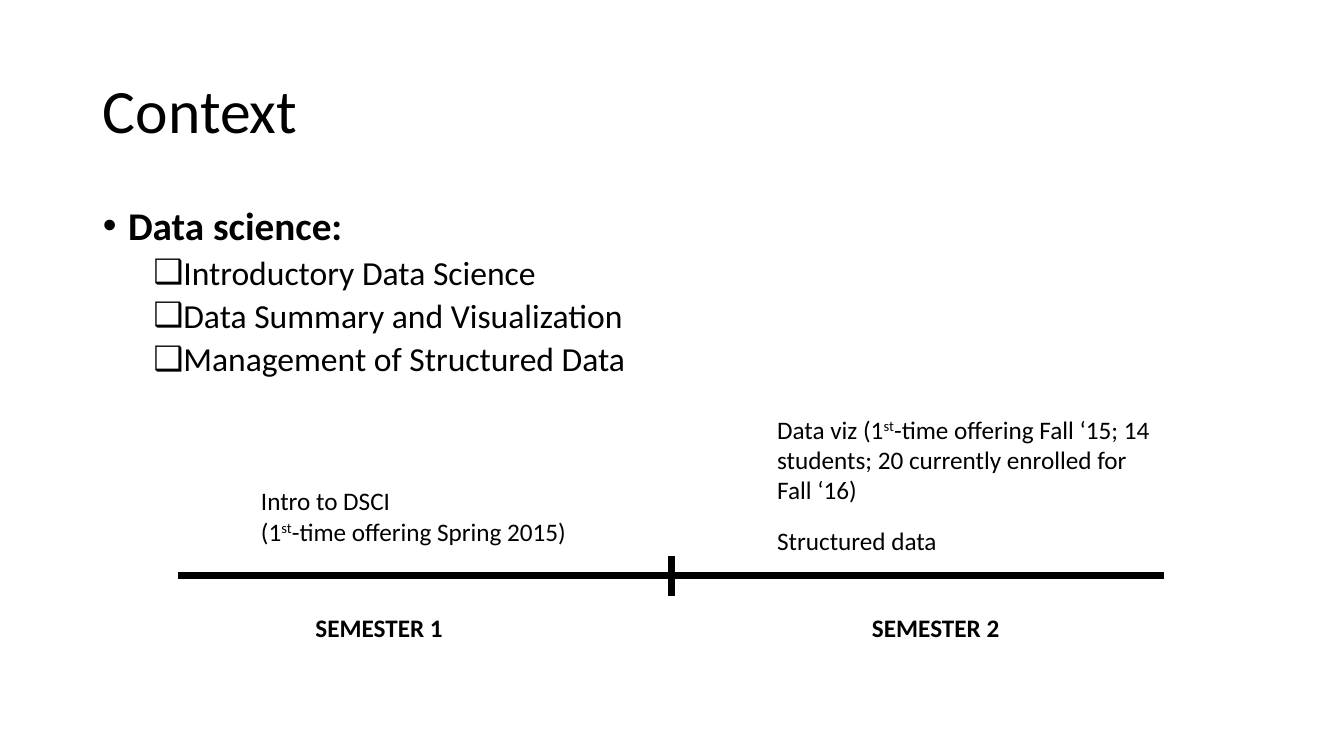
from dataclasses import dataclass

from lxml.etree import SubElement
from pptx import Presentation
from pptx.dml.color import RGBColor
from pptx.enum.shapes import MSO_CONNECTOR
from pptx.enum.text import MSO_ANCHOR, MSO_AUTO_SIZE, PP_ALIGN
from pptx.oxml.ns import qn
from pptx.util import Inches, Pt


@dataclass(frozen=True)
class Theme:
    font: str = "Calibri"
    ink: RGBColor = RGBColor(0, 0, 0)
    paper: RGBColor = RGBColor(255, 255, 255)
    title: int = 44
    topic: int = 28
    course: int = 24
    note: int = 18
    line: float = 4.5


THEME = Theme()
WIDTH, HEIGHT = 13.33, 7.5
MARGIN, CONTENT_WIDTH = 0.92, 11.5
COURSES = [
    "Introductory Data Science",
    "Data Summary and Visualization",
    "Management of Structured Data",
]


def place(shape, box):
    shape.left, shape.top, shape.width, shape.height = map(Inches, box)


def style(paragraph, size, bold=False):
    font = paragraph.font
    font.name, font.size, font.bold = THEME.font, Pt(size), bold
    font.color.rgb = THEME.ink


def set_bullet(paragraph, symbol, indent):
    """Hang a bullet a quarter inch before the text indent."""
    properties = paragraph._p.get_or_add_pPr()
    properties.set("marL", str(Inches(indent)))
    properties.set("indent", str(Inches(-0.25)))
    bullet_font = SubElement(properties, qn("a:buFont"))
    bullet_font.set("typeface", "Arial")
    SubElement(properties, qn("a:buChar")).set("char", symbol)


def add_title(slide, box):
    title = slide.shapes.title
    place(title, box)
    frame = title.text_frame
    frame.text = "Context"
    frame.vertical_anchor = MSO_ANCHOR.MIDDLE
    frame.auto_size = MSO_AUTO_SIZE.NONE
    heading = frame.paragraphs[0]
    heading.alignment, heading.line_spacing = PP_ALIGN.LEFT, 0.9
    style(heading, THEME.title)


def add_course_list(slide, box):
    body = slide.placeholders[1]
    place(body, box)
    frame = body.text_frame
    frame.text = "\n".join(["Data science:", *COURSES])
    frame.auto_size = MSO_AUTO_SIZE.NONE
    for index, entry in enumerate(frame.paragraphs):
        is_topic = index == 0
        entry.level = 0 if is_topic else 1
        entry.line_spacing = 0.9
        entry.space_before = Pt(10 if is_topic else 5)
        set_bullet(entry, "•" if is_topic else "❑", 0.25 if is_topic else 0.75)
        style(entry, THEME.topic if is_topic else THEME.course, is_topic)


def add_line(slide, start, end):
    line = slide.shapes.add_connector(
        MSO_CONNECTOR.STRAIGHT, *map(Inches, (*start, *end)))
    line.line.color.rgb = THEME.ink
    line.line.width = Pt(THEME.line)
    SubElement(line._element.spPr, qn("a:effectLst"))


def add_note(slide, box, text, bold=False, wrap=False):
    """Add a text box; parts between ^ marks are superscript."""
    frame = slide.shapes.add_textbox(*map(Inches, box)).text_frame
    frame.word_wrap = wrap
    frame.auto_size = MSO_AUTO_SIZE.SHAPE_TO_FIT_TEXT
    for index, content in enumerate(text.split("\n")):
        paragraph = frame.add_paragraph() if index else frame.paragraphs[0]
        style(paragraph, THEME.note, bold)
        for part, words in enumerate(content.split("^")):
            run = paragraph.add_run()
            run.text = words
            if part % 2:
                run._r.get_or_add_rPr().set("baseline", "30000")


def add_timeline(slide, box):
    left, top, width, height = box
    axis, middle = top + 1.65, left + width / 2
    second = left + 5.84

    # Axis with a tick between the semesters
    add_line(slide, (left, axis), (left + width, axis))
    add_line(slide, (middle, axis - 0.19), (middle, axis + 0.2))

    # Semester names below the axis
    for number, start in enumerate((left + 1.26, left + 6.78), 1):
        add_note(slide, (start, top + height - 0.4, 1.48, 0.4),
                 f"SEMESTER {number}", bold=True)

    # Courses above the axis
    add_note(slide, (left + 0.72, axis - 0.94, 3.29, 0.71),
             "Intro to DSCI\n(1^st^-time offering Spring 2015)")
    add_note(slide, (second, top, left + width - second, 1.01),
             "Data viz (1^st^-time offering Fall ‘15; 14 students; "
             "20 currently enrolled for Fall ‘16)", wrap=True)
    add_note(slide, (second, axis - 0.55, 1.8, 0.4), "Structured data")


def main():
    deck = Presentation()
    deck.slide_width, deck.slide_height = Inches(WIDTH), Inches(HEIGHT)
    slide = deck.slides.add_slide(deck.slide_layouts[1])
    slide.background.fill.solid()
    slide.background.fill.fore_color.rgb = THEME.paper
    add_title(slide, (MARGIN, 0.4, CONTENT_WIDTH, 1.45))
    add_course_list(slide, (MARGIN, 2, CONTENT_WIDTH, 4.76))
    add_timeline(slide, (1.77, 4.06, 9.78, 2.37))
    deck.save("out.pptx")


if __name__ == "__main__":
    main()
